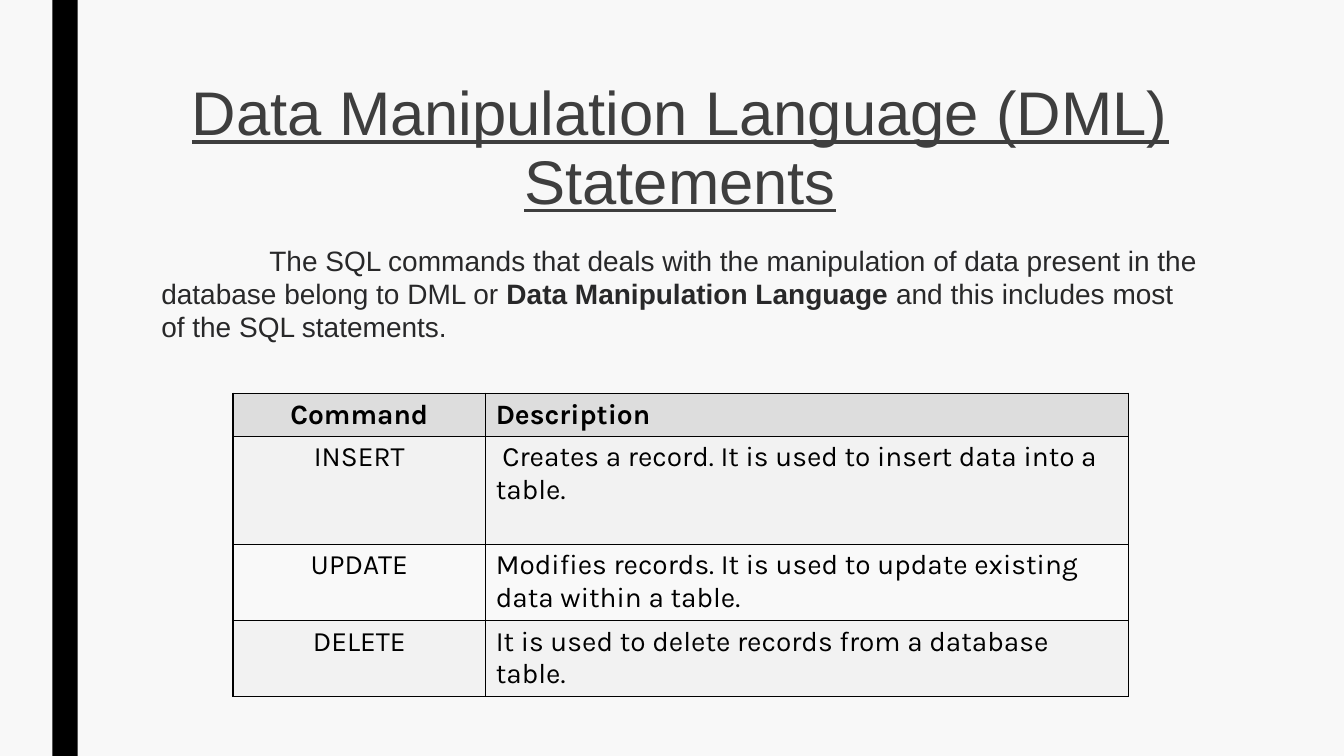
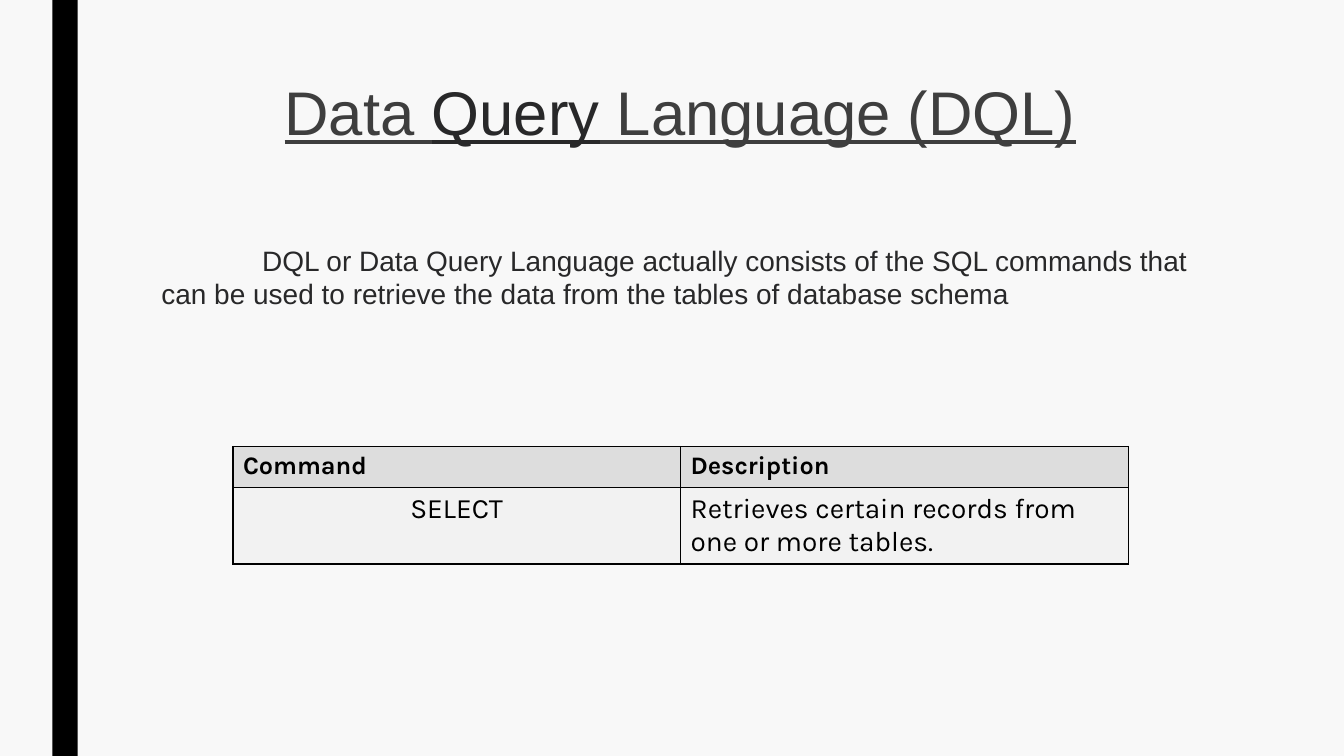
from lxml import etree
from pptx import Presentation
from pptx.dml.color import RGBColor
from pptx.enum.shapes import MSO_SHAPE
from pptx.enum.text import MSO_ANCHOR, MSO_AUTO_SIZE, PP_ALIGN
from pptx.oxml.ns import qn
from pptx.util import Cm, Pt

RECTANGLE = MSO_SHAPE.RECTANGLE
TOP = MSO_ANCHOR.TOP
NO_AUTOFIT = MSO_AUTO_SIZE.NONE
LEFT, CENTER = PP_ALIGN.LEFT, PP_ALIGN.CENTER

PAGE, BAND = "F8F8F8", "000000"
TITLE_INK, BODY_INK, TABLE_INK = "3E3E3E", "282829", "000000"
HEADER_FILL, ROW_FILLS = "DDDDDD", ("F2F2F2", "F9F9F9")
TEXT_FONT, TABLE_FONT = "Arial", "Karla"
LINE_BREAK = "\v"

TEXT_LEFT, TEXT_WIDTH = Cm(3.81), Cm(26.67)
TITLE_TOP, TITLE_HEIGHT = Cm(1.9), Cm(4.11)
BODY_TOP = Cm(6.05)
TABLE_LEFT = Cm(5.87)


def rgb(hex_color):
    """Turn a hex string into a colour."""
    return RGBColor.from_string(hex_color)


def style_run(run, font, size, color, bold=False, underline=False):
    """Format one run of text."""
    run.font.name = font
    run.font.size = Pt(size)
    run.font.color.rgb = rgb(color)
    run.font.bold = bold
    run.font.underline = underline


def place_text(placeholder, top, height, line_spacing, align):
    """Move a text placeholder and return its only paragraph."""
    placeholder.left, placeholder.top = TEXT_LEFT, top
    placeholder.width, placeholder.height = TEXT_WIDTH, height
    frame = placeholder.text_frame
    frame.word_wrap = True
    frame.auto_size = NO_AUTOFIT
    frame.vertical_anchor = TOP
    paragraph = frame.paragraphs[0]
    paragraph.alignment = align
    paragraph.line_spacing = line_spacing
    paragraph.space_before = Pt(0)
    return paragraph


def write_title(slide, parts):
    """Write the underlined title from (text, colour) parts."""
    paragraph = place_text(slide.shapes.title, TITLE_TOP, TITLE_HEIGHT, 0.93, CENTER)
    for text, color in parts:
        if text == LINE_BREAK:
            paragraph.add_line_break()
            continue
        run = paragraph.add_run()
        run.text = text
        style_run(run, TEXT_FONT, 44, color, underline=True)


def write_body(slide, height, parts):
    """Write the indented, unbulleted body from (text, bold) parts."""
    paragraph = place_text(slide.placeholders[1], BODY_TOP, height, 0.98, LEFT)
    properties = paragraph._p.get_or_add_pPr()
    properties.set("marL", "0")
    properties.set("indent", str(Cm(2.54)))
    etree.SubElement(properties, qn("a:buNone"))
    for text, bold in parts:
        run = paragraph.add_run()
        run.text = text
        style_run(run, TEXT_FONT, 20, BODY_INK, bold)


def add_borders(cell):
    """Draw a thin line along each side of a cell."""
    properties = cell._tc.get_or_add_tcPr()
    for side in ("a:lnL", "a:lnR", "a:lnT", "a:lnB"):
        line = etree.SubElement(properties, qn(side), w=str(Pt(1)))
        fill = etree.SubElement(line, qn("a:solidFill"))
        etree.SubElement(fill, qn("a:srgbClr"), val=TABLE_INK)


def write_cell(cell, text, size, align, fill, bold):
    """Fill, frame and write one table cell."""
    add_borders(cell)
    cell.fill.solid()
    cell.fill.fore_color.rgb = rgb(fill)
    paragraph = cell.text_frame.paragraphs[0]
    paragraph.text = text
    paragraph.alignment = align
    style_run(paragraph.runs[0], TABLE_FONT, size, TABLE_INK, bold)


def add_command_table(slide, top, widths, heights, commands, header_size, header_align):
    """Add a table of commands and their descriptions."""
    rows = [("Command", "Description"), *commands]
    table = slide.shapes.add_table(
        len(rows), len(widths), TABLE_LEFT, top, sum(widths), sum(heights)
    ).table
    for column, width in zip(table.columns, widths):
        column.width = width
    for row, height in zip(table.rows, heights):
        row.height = height
    for index, texts in enumerate(rows):
        header = index == 0
        size = header_size if header else 20
        fill = HEADER_FILL if header else ROW_FILLS[(index - 1) % 2]
        aligns = (header_align if header else CENTER, LEFT)
        for column, (text, align) in enumerate(zip(texts, aligns)):
            write_cell(table.cell(index, column), text, size, align, fill, header)


def dress_master(prs, slide):
    """Give the master its background and the band at the left."""
    master = prs.slide_master
    master.background.fill.solid()
    master.background.fill.fore_color.rgb = rgb(PAGE)
    band = slide.shapes.add_shape(RECTANGLE, Cm(1.32), 0, Cm(0.64), prs.slide_height)
    band.shadow.inherit = False
    band.fill.solid()
    band.fill.fore_color.rgb = rgb(BAND)
    band.line.fill.background()
    master.element.cSld.spTree.insert(2, band.element)


def build_manipulation(slide):
    """Build the slide on data manipulation."""
    write_title(slide, [
        ("Data Manipulation Language (DML)", TITLE_INK),
        (LINE_BREAK, TITLE_INK),
        ("Statements", TITLE_INK),
    ])
    write_body(slide, Cm(3.89), [
        (" The SQL commands that deals with the manipulation of data present "
         "in the database belong to DML or ", False),
        ("Data Manipulation Language", True),
        (" and this includes most of the SQL statements.", False),
    ])
    commands = [
        ("INSERT", " Creates a record. It is used to insert data into a table."),
        ("UPDATE", "Modifies records. It is used to update existing data within a table."),
        ("DELETE", "It is used to delete records from a database table."),
    ]
    heights = [Cm(1.08), Cm(2.72), Cm(1.92), Cm(1.92)]
    add_command_table(slide, Cm(9.91), [Cm(6.37), Cm(16.2)], heights, commands, 20, CENTER)


def build_query(slide):
    """Build the slide on data queries."""
    write_title(slide, [
        ("Data ", TITLE_INK),
        ("Query", BODY_INK),
        (" Language (DQL)", TITLE_INK),
    ])
    write_body(slide, Cm(3.15), [
        ("DQL or Data Query Language actually consists of the SQL commands that "
         "can be used to retrieve the data from the tables of database schema", False),
    ])
    commands = [("SELECT", "Retrieves certain records from one or more tables.")]
    heights = [Cm(1.04), Cm(1.92)]
    add_command_table(slide, Cm(11.25), [Cm(11.28)] * 2, heights, commands, 18, LEFT)


def main():
    """Build and save the presentation."""
    prs = Presentation()
    prs.slide_width, prs.slide_height = Cm(33.87), Cm(19.05)
    layout = prs.slide_layouts[1]
    manipulation, query = [prs.slides.add_slide(layout) for _ in range(2)]
    dress_master(prs, manipulation)
    build_manipulation(manipulation)
    build_query(query)
    prs.save("out.pptx")


if __name__ == "__main__":
    main()
